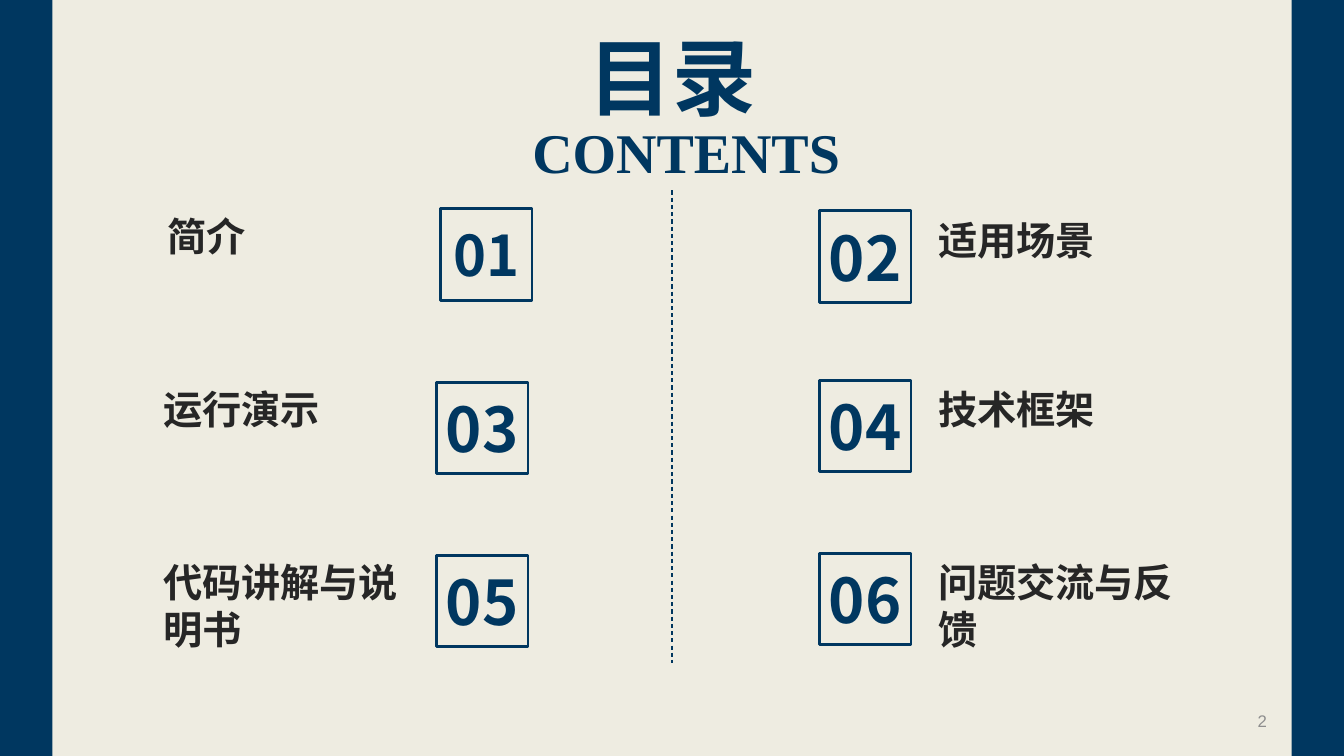
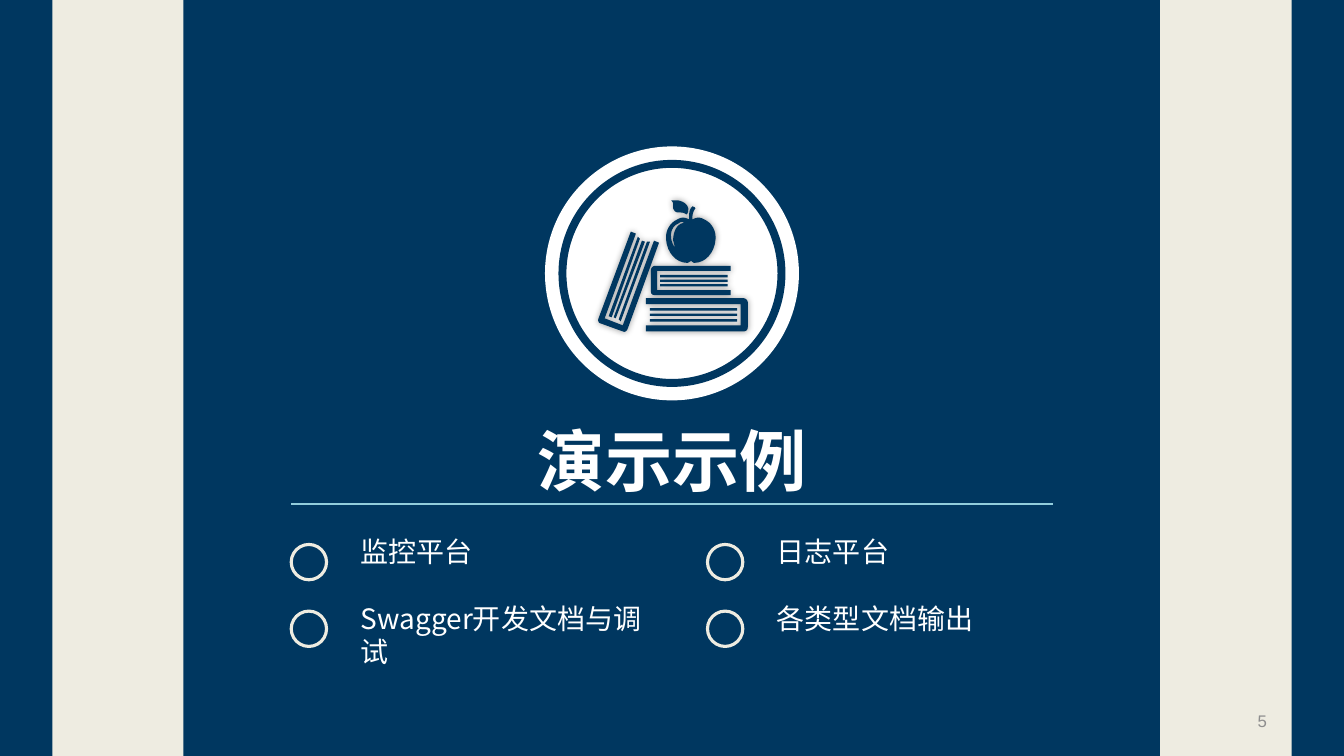
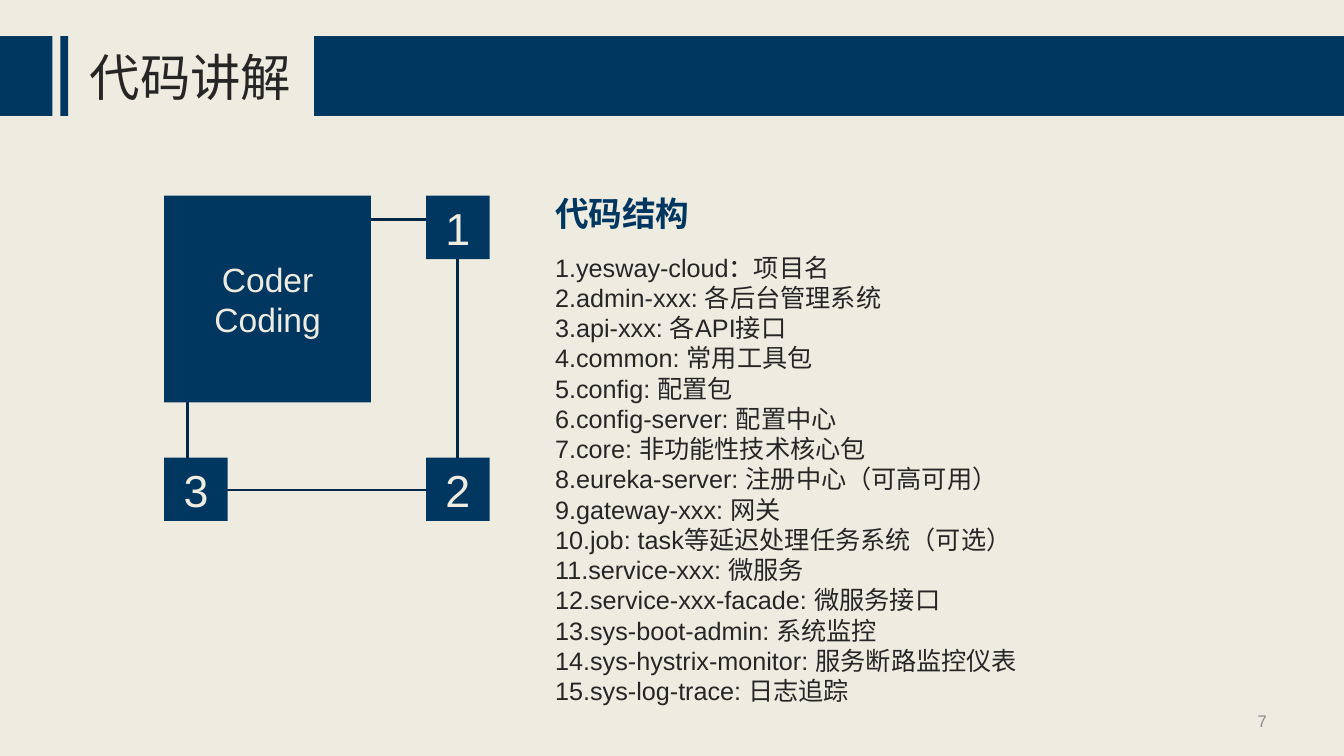
from lxml import etree
from pptx import Presentation
from pptx.dml.color import RGBColor
from pptx.enum.dml import MSO_LINE
from pptx.enum.shapes import MSO_CONNECTOR, MSO_SHAPE as SHAPE
from pptx.enum.text import MSO_ANCHOR as ANCHOR, MSO_AUTO_SIZE, PP_ALIGN as ALIGN
from pptx.oxml.ns import qn
from pptx.util import Cm, Pt

COLORS = {
    "navy": "003760",
    "frame": "002947",
    "divider": "00365E",
    "cream": "EEECE1",
    "white": "FFFFFF",
    "ink": "262626",
    "sky": "92CDDC",
    "grey": "8E8E8E",
}
CJK = "Noto Sans CJK SC"
LATIN = "Arial"
SERIF = "Times New Roman"
WIDTH, HEIGHT = 33.87, 19.05
CENTER = WIDTH / 2
LINE_HEIGHT = 1.2

# number, title, left, top (cm)
LEFT_CHAPTERS = [
    ("01", "简介", 3.96, 5.21),
    ("03", "运行演示", 3.86, 9.58),
    ("05", "代码讲解与说明书", 3.86, 13.94),
]
RIGHT_CHAPTERS = [
    ("02", "适用场景", 20.65, 5.31),
    ("04", "技术框架", 20.65, 9.58),
    ("06", "问题交流与反馈", 20.65, 13.94),
]
DEMOS = ["监控平台", "日志平台", "Swagger开发文档与调试", "各类型文档输出"]
MODULES = [
    "1.yesway-cloud：项目名",
    "2.admin-xxx: 各后台管理系统",
    "3.api-xxx: 各API接口",
    "4.common: 常用工具包",
    "5.config: 配置包",
    "6.config-server: 配置中心",
    "7.core: 非功能性技术核心包",
    "8.eureka-server: 注册中心（可高可用）",
    "9.gateway-xxx: 网关",
    "10.job: task等延迟处理任务系统（可选）",
    "11.service-xxx: 微服务",
    "12.service-xxx-facade: 微服务接口",
    "13.sys-boot-admin: 系统监控",
    "14.sys-hystrix-monitor: 服务断路监控仪表",
    "15.sys-log-trace: 日志追踪",
]


def page_strip(left, top, right):
    return [(left, top), (right, top), (right, top + 2.4), (left, top + 2.4)]


# Outlines in hundredths of an inch: pairs are corners, sixes are Bézier curves.
ICON_LEFT, ICON_TOP, ICON_UNIT = 15.06, 5.05, 0.0254
UPPER_BOOK = [
    (129, 70), (59, 70), (59, 89), (132, 89), (132, 94), (57, 94),
    (55, 94, 53, 93, 53, 91), (53, 69), (53, 67, 55, 65, 57, 65),
    (132, 65), (132, 70),
]
LOWER_BOOK = [
    (142, 103), (142, 124), (48, 124), (48, 130), (144, 130),
    (147, 130, 149, 129, 149, 126), (149, 101),
    (149, 99, 147, 97, 144, 97), (48, 97), (48, 103),
]
LEANING_BOOK = [
    (7, 117), (25, 124), (56, 40), (61, 42), (30, 127),
    (29, 130, 27, 131, 25, 130), (3, 122), (1, 122, 0, 119, 1, 117),
    (33, 31), (38, 33),
]
LEANING_PAGES = [
    [(49, 41), (21, 118), (23, 120), (52, 41)],
    [(44, 40), (16, 116), (18, 117), (47, 41)],
    [(40, 36), (11, 115), (14, 116), (42, 38)],
]
LEAF = [
    (80, 12), (77, 12, 76, 10, 75, 8), (75, 7, 75, 5, 75, 4),
    (75, 2, 74, 1, 73, 0), (76, 0, 78, 0, 80, 0), (84, 1, 89, 3, 90, 8),
    (90, 10, 90, 13, 88, 14), (86, 12, 83, 12, 80, 12),
]
APPLE = [
    (106, 19), (113, 22, 118, 30, 117, 39), (116, 52, 107, 62, 96, 62),
    (95, 62, 94, 61, 93, 60), (91, 61, 90, 62, 89, 62),
    (78, 62, 69, 52, 68, 39), (67, 30, 72, 22, 79, 19),
    (84, 16, 87, 17, 91, 19), (91, 15, 90, 10, 94, 6), (95, 6, 97, 7, 97, 8),
    (94, 12, 94, 16, 94, 19), (98, 17, 101, 16, 106, 19),
]
APPLE_SHINE = [
    (86, 22), (84, 21, 83, 21, 80, 23), (75, 25, 72, 31, 73, 37),
    (73, 40, 75, 45, 77, 47), (76, 45, 76, 42, 75, 40),
    (75, 33, 77, 26, 83, 23), (84, 23, 85, 22, 86, 22),
]
ICON = [
    UPPER_BOOK, LOWER_BOOK, LEANING_BOOK, *LEANING_PAGES,
    *(page_strip(62, top, 129) for top in (74, 78.5, 83)),
    *(page_strip(52, top, 138.5) for top in (107, 112.3, 117.8)),
    LEAF, APPLE, APPLE_SHINE,
]


def color(name):
    return RGBColor.from_string(COLORS[name])


def write(frame, text, size, ink="navy", font=CJK, bold=False,
          align=ALIGN.LEFT, anchor=ANCHOR.TOP, margins=(0.25, 0.13), plain=False):
    """Fill a text frame, one paragraph per line; plain drops list bullets."""
    frame.word_wrap = True
    frame.auto_size = MSO_AUTO_SIZE.NONE
    frame.vertical_anchor = anchor
    frame.margin_left = frame.margin_right = Cm(margins[0])
    frame.margin_top = frame.margin_bottom = Cm(margins[1])
    for index, line in enumerate(text.split("\n")):
        paragraph = frame.add_paragraph() if index else frame.paragraphs[0]
        if plain:
            properties = paragraph._p.get_or_add_pPr()
            properties.set("marL", "0")
            properties.set("indent", "0")
            etree.SubElement(properties, qn("a:buNone"))
        paragraph.alignment = align
        paragraph.space_before = Pt(0)
        paragraph.line_spacing = Pt(size * LINE_HEIGHT)
        run = paragraph.add_run()
        run.text = line
        run.font.size = Pt(size)
        run.font.bold = bold
        run.font.color.rgb = color(ink)
        run.font.name = font
        east_asian = etree.SubElement(run._r.get_or_add_rPr(), qn("a:ea"))
        east_asian.set("typeface", CJK)


def add_text(slide, left, top, width, height, text, size, **style):
    box = slide.shapes.add_textbox(Cm(left), Cm(top), Cm(width), Cm(height))
    write(box.text_frame, text, size, **style)


def fill_placeholder(slide, index, left, top, width, height, text, size, **style):
    """Move a placeholder, bring it to the front and write in it."""
    holder = slide.placeholders[index]
    holder.left, holder.top = Cm(left), Cm(top)
    holder.width, holder.height = Cm(width), Cm(height)
    holder.element.getparent().append(holder.element)
    write(holder.text_frame, text, size, **style)


def paint(shape, fill=None, line=None, weight=1):
    shape.shadow.inherit = False
    if fill:
        shape.fill.solid()
        shape.fill.fore_color.rgb = color(fill)
    else:
        shape.fill.background()
    if line:
        shape.line.color.rgb = color(line)
        shape.line.width = Pt(weight)
    else:
        shape.line.fill.background()
    return shape


def add_block(slide, left, top, width, height, kind=SHAPE.RECTANGLE, **look):
    shape = slide.shapes.add_shape(kind, Cm(left), Cm(top), Cm(width), Cm(height))
    return paint(shape, **look)


def add_round(slide, diameter, middle, kind=SHAPE.OVAL, **look):
    """Add a round shape centred across the slide."""
    return add_block(slide, CENTER - diameter / 2, middle - diameter / 2,
                     diameter, diameter, kind, **look)


def add_rule(slide, start, end, ink, dash=None):
    rule = slide.shapes.add_connector(
        MSO_CONNECTOR.STRAIGHT, *(Cm(value) for value in (*start, *end)))
    rule.line.color.rgb = color(ink)
    rule.line.width = Pt(0.75)
    if dash:
        rule.line.dash_style = dash
    etree.SubElement(rule.element.spPr, qn("a:effectLst"))


def add_tile(slide, left, top, side, text, size, ink="cream", font=LATIN,
             bold=False, **look):
    """Add a square with centred text."""
    tile = add_block(slide, left, top, side, side, **look)
    write(tile.text_frame, text, size, ink=ink, font=font, bold=bold,
          align=ALIGN.CENTER, anchor=ANCHOR.MIDDLE, margins=(0, 0))


def add_side_bands(slide):
    band = 1.32
    for left in (0, WIDTH - band):
        add_block(slide, left, 0, band, HEIGHT, fill="navy")


def add_page_number(slide, number):
    add_text(slide, 24.28, 17.65, 7.9, 1.02, str(number), 12, ink="grey",
             font=LATIN, align=ALIGN.RIGHT, anchor=ANCHOR.MIDDLE)


def flatten(outline, steps=8):
    """Turn an icon outline into slide points, curves cut into short lines."""
    points = [outline[0]]
    for part in outline[1:]:
        if len(part) == 2:
            points.append(part)
            continue
        knots = [points[-1], part[:2], part[2:4], part[4:]]
        for step in range(1, steps + 1):
            t = step / steps
            weights = ((1 - t) ** 3, 3 * t * (1 - t) ** 2, 3 * t * t * (1 - t), t ** 3)
            points.append(tuple(
                sum(w * knot[axis] for w, knot in zip(weights, knots))
                for axis in (0, 1)))
    return [(Cm(ICON_LEFT + x * ICON_UNIT), Cm(ICON_TOP + y * ICON_UNIT))
            for x, y in points]


def add_book_icon(slide):
    outlines = [flatten(outline) for outline in ICON]
    builder = slide.shapes.build_freeform(*outlines[0][0])
    for index, points in enumerate(outlines):
        if index:
            builder.move_to(*points[0])
        builder.add_line_segments(points[1:], close=True)
    icon = paint(builder.convert_to_shape(), fill="navy")
    effects = icon.element.spPr.find(qn("a:effectLst"))
    glow = etree.SubElement(effects, qn("a:outerShdw"), blurRad=str(Pt(5)), dist="0")
    black = etree.SubElement(glow, qn("a:srgbClr"), val="000000")
    etree.SubElement(black, qn("a:alpha"), val="40000")


def add_chapter(slide, number, title, label_left, label_top, box_left, box_top):
    add_text(slide, label_left, label_top, 6.65, 2.64, title, 28, ink="ink", bold=True)
    add_tile(slide, box_left, box_top, 2.31, number, 40 if number == "01" else 44,
             ink="navy", font=CJK, bold=True, line="navy", weight=2)


def build_contents(slide):
    add_side_bands(slide)
    fill_placeholder(slide, 0, 13.72, 0.51, 6.45, 2.82, "目录", 60,
                     bold=True, align=ALIGN.CENTER)
    add_text(slide, 12.45, 2.84, 8.97, 1.96, "CONTENTS", 40, font=SERIF,
             bold=True, align=ALIGN.RIGHT)
    for number, title, left, top in LEFT_CHAPTERS:
        add_chapter(slide, number, title, left, top, left + 7.14, top + 0.05)
    for number, title, left, top in RIGHT_CHAPTERS:
        add_chapter(slide, number, title, left + 2.74, top, left, top)
    add_rule(slide, (CENTER, 4.8), (CENTER, 16.71), "divider", MSO_LINE.DASH)


def build_demo_section(slide):
    add_block(slide, 4.62, 0, 24.61, HEIGHT, fill="navy")
    add_side_bands(slide)
    add_round(slide, 6.4, 6.89, fill="white")
    ring = add_round(slide, 5.72, 6.89, SHAPE.DONUT, fill="navy")
    ring.adjustments[0] = 0.035
    add_book_icon(slide)
    fill_placeholder(slide, 0, 8.26, 10.44, 17.37, 2.31, "演示示例", 48,
                     ink="white", bold=True, align=ALIGN.CENTER)
    add_rule(slide, (7.34, 12.7), (26.54, 12.7), "sky")
    for index, demo in enumerate(DEMOS):
        row, column = divmod(index, 2)
        left, top = 7.34 + column * 10.49, 13.72 + row * 1.68
        add_block(slide, left, top, 0.89, 0.89, SHAPE.OVAL,
                  fill="navy", line="cream", weight=2.25)
        add_text(slide, left + 1.5, top - 0.38, 7.87, 1.96, demo, 20, ink="white")


def build_code_structure(slide):
    for left, width in ((0, 1.32), (1.52, 0.2), (7.92, WIDTH - 7.92)):
        add_block(slide, left, 0.91, width, 2.01, fill="navy")
    fill_placeholder(slide, 0, 2.01, 1.02, 6.4, 1.8, "代码讲解", 36,
                     ink="ink", font=LATIN)
    left, top, pitch = 4.14, 4.93, 6.6
    add_block(slide, left + 0.58, top + 0.61, 6.81, 6.81,
              fill="cream", line="frame", weight=2)
    add_tile(slide, left, top, 5.21, "Coder\nCoding", 24, fill="navy")
    for number, column, row in (("1", 1, 0), ("2", 1, 1), ("3", 0, 1)):
        add_tile(slide, left + column * pitch, top + row * pitch, 1.6,
                 number, 32, fill="navy")
    add_text(slide, 13.74, 4.72, 7.14, 1.27, "代码结构", 24, font=SERIF, bold=True)
    fill_placeholder(slide, 1, 13.74, 6.22, 19.23, 11.79, "\n".join(MODULES), 18,
                     ink="ink", font=LATIN, plain=True)


def main():
    deck = Presentation()
    deck.slide_width, deck.slide_height = Cm(WIDTH), Cm(HEIGHT)
    backdrop = deck.slide_master.background.fill
    backdrop.solid()
    backdrop.fore_color.rgb = color("cream")
    title_only, title_and_body = deck.slide_layouts[5], deck.slide_layouts[1]
    pages = [
        (build_contents, title_only, 2),
        (build_demo_section, title_only, 5),
        (build_code_structure, title_and_body, 7),
    ]
    for build, layout, number in pages:
        slide = deck.slides.add_slide(layout)
        build(slide)
        add_page_number(slide, number)
    deck.save("out.pptx")


if __name__ == "__main__":
    main()
